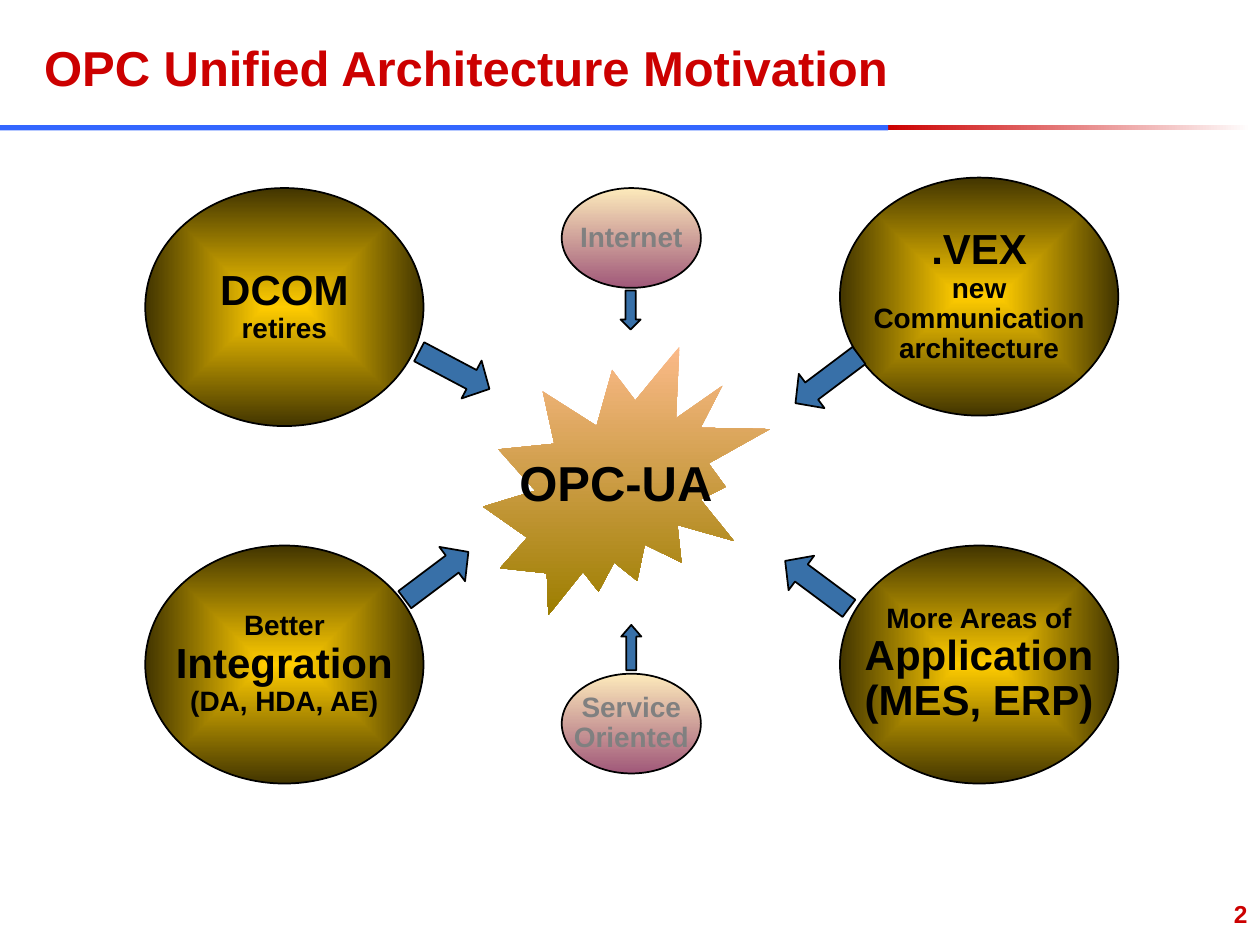
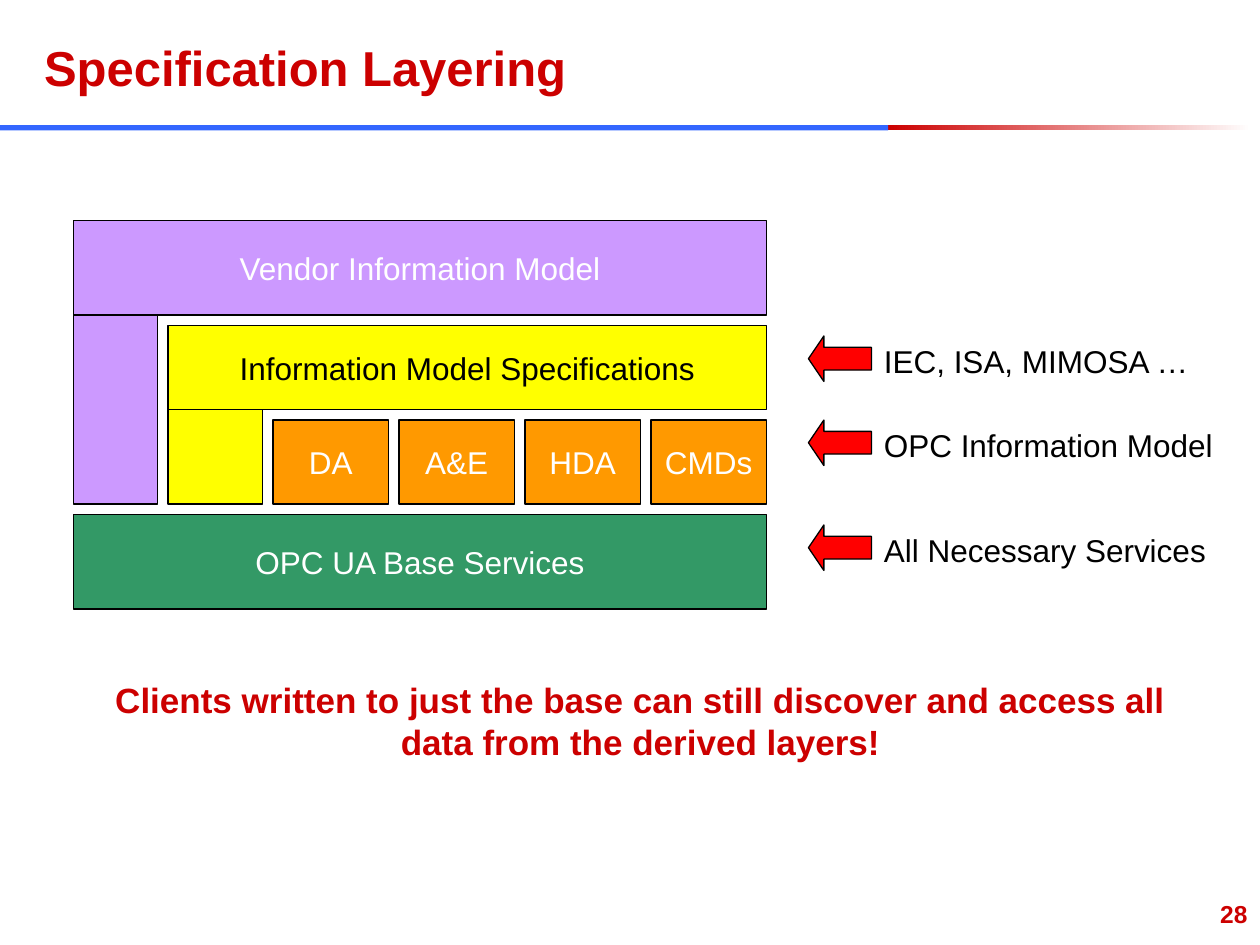
import pptx
import pptx.dml.color
import pptx.enum.shapes
import pptx.enum.text
import pptx.oxml
import pptx.oxml.ns
import pptx.util

Pt = pptx.util.Pt
RGB = pptx.dml.color.RGBColor
SHAPE = pptx.enum.shapes.MSO_SHAPE
ALIGN = pptx.enum.text.PP_ALIGN
ANCHOR = pptx.enum.text.MSO_ANCHOR
qn = pptx.oxml.ns.qn

FONT = "Arial"
BLACK = RGB(0x00, 0x00, 0x00)
WHITE = RGB(0xFF, 0xFF, 0xFF)
GRAY = RGB(0x80, 0x80, 0x80)
CRIMSON = RGB(0xCC, 0x00, 0x00)
BAND_BLUE = RGB(0x33, 0x66, 0xFF)
ARROW_BLUE = RGB(0x38, 0x70, 0xA8)
RED = RGB(0xFF, 0x00, 0x00)
LILAC = RGB(0xCC, 0x99, 0xFF)
YELLOW = RGB(0xFF, 0xFF, 0x00)
ORANGE = RGB(0xFF, 0x99, 0x00)
GREEN = RGB(0x33, 0x99, 0x66)
FADE = (WHITE, CRIMSON)
GOLD = (RGB(0xFF, 0xCC, 0x00), RGB(0x42, 0x35, 0x00))
BURST = (RGB(0xFB, 0xBA, 0x89), RGB(0x9C, 0x7E, 0x00))
ROSE = (RGB(0xFD, 0xEA, 0xBB), RGB(0xA0, 0x58, 0x79))

CENTER_PATH = (
    f'<a:path {pptx.oxml.ns.nsdecls("a")} path="rect">'
    '<a:fillToRect l="50000" t="50000" r="50000" b="50000"/></a:path>'
)


def paint_gradient(sp, colors, angle):
    sp.fill.gradient()
    for stop, color in zip(sp.fill.gradient_stops, colors):
        stop.color.rgb = color
    if angle is not None:
        sp.fill.gradient_angle = angle
        return
    grad = sp._element.spPr.find(qn("a:gradFill"))
    grad.replace(grad.find(qn("a:lin")), pptx.oxml.parse_xml(CENTER_PATH))


def add_shape(s, kind, box, fill, line=None, angle=None):
    sp = s.shapes.add_shape(kind, *map(Pt, box))
    sp.shadow.inherit = False
    if isinstance(fill, tuple) and not isinstance(fill, RGB):
        paint_gradient(sp, fill, angle)
    else:
        sp.fill.solid()
        sp.fill.fore_color.rgb = fill
    if line:
        sp.line.color.rgb = BLACK
        sp.line.width = Pt(line)
    else:
        sp.line.fill.background()
    return sp


def write(sp, lines, color, bold=False, align=ALIGN.CENTER,
          anchor=ANCHOR.MIDDLE, spacing=None, wrap=False):
    tf = sp.text_frame
    tf.word_wrap = wrap
    tf.auto_size = pptx.enum.text.MSO_AUTO_SIZE.NONE
    tf.vertical_anchor = anchor
    tf.margin_left = tf.margin_right = Pt(7.2)
    tf.margin_top = tf.margin_bottom = Pt(3.6)
    for i, (text, size) in enumerate(lines):
        p = tf.add_paragraph() if i else tf.paragraphs[0]
        p.text = text
        p.alignment = align
        if spacing:
            p.line_spacing = spacing
        p.font.name = FONT
        p.font.size = Pt(size)
        p.font.bold = bold
        p.font.color.rgb = color


def add_text(s, box, text, size, color, **style):
    sp = s.shapes.add_textbox(*map(Pt, box))
    write(sp, [(text, size)], color, anchor=ANCHOR.TOP, **style)


def add_slide(prs, title, title_width, number):
    s = prs.slides.add_slide(prs.slide_layouts[5])
    add_shape(s, SHAPE.RECTANGLE, (507.5, 71.5, 207.5, 3), FADE, angle=180)
    add_shape(s, SHAPE.RECTANGLE, (0, 71.5, 507.5, 3), BAND_BLUE)
    sp = s.shapes.title
    sp.left, sp.top, sp.width, sp.height = map(Pt, (18, 18, title_width, 41))
    write(sp, [(title, 28)], CRIMSON, bold=True, align=ALIGN.LEFT, wrap=True)
    add_text(s, (570, 510, 150, 30), number, 14, CRIMSON,
             bold=True, align=ALIGN.RIGHT, wrap=True)
    return s


def add_motivation(s, x, y):
    def driver(dx, dy, size, fill, color, lines, angle=None):
        sp = add_shape(s, SHAPE.OVAL, (x + dx, y + dy, *size), fill, 1, angle)
        write(sp, lines, color, bold=True, spacing=0.9)

    def arrow(dx, dy, width, height, rotation, head):
        sp = add_shape(s, SHAPE.RIGHT_ARROW, (x + dx, y + dy, width, height), ARROW_BLUE, 1)
        sp.adjustments[1] = head
        sp.rotation = rotation

    right, bottom, middle = 397, 210.25, 238
    large, small = (159, 136), (79.5, 57)

    burst = add_shape(s, SHAPE.EXPLOSION2, (x + 193, y + 96.5, 164, 153.5), BURST, angle=270)
    write(burst, [("OPC-UA", 28)], BLACK, bold=True, spacing=0.9)

    arrow(143.8, 215.3, 45.4, 24.5, 323.1, 0.47)
    for dx, dy, lines in (
        (0, 6, [("DCOM", 24), ("retires", 16)]),
        (right, 0, [(".VEX", 24), ("new", 16), ("Communication", 16), ("architecture", 16)]),
        (0, bottom, [("Better", 16), ("Integration", 24), ("(DA, HDA, AE)", 16)]),
        (right, bottom, [("More Areas of", 16), ("Application", 24), ("(MES, ERP)", 24)]),
    ):
        driver(dx, dy, large, GOLD, BLACK, lines)
    for dx, dy, rotation in (
        (153.9, 97.9, 27.9), (361.2, 220.3, 216.6), (367, 103, 143.1),
    ):
        arrow(dx, dy, 45.4, 24.5, rotation, 0.47)

    driver(middle, 6, small, ROSE, GRAY, [("Internet", 16)], 270)
    driver(middle, 283.5, small, ROSE, GRAY, [("Service", 16), ("Oriented", 16)], 270)
    arrow(266.2, 69.9, 22.3, 11.5, 90, 0.5)
    arrow(264.8, 262.8, 25.9, 11.5, 270, 0.58)


def add_layers(s, x, y, width):
    def layer(dx, dy, w, h, fill, text=None, color=WHITE):
        sp = add_shape(s, SHAPE.RECTANGLE, (x + dx, y + dy, w, h), fill, 0.75)
        if text:
            write(sp, [(text, 18)], color)

    gap, block = 6, 66
    layer(0, 168, width, 54, GREEN, "OPC UA Base Services")
    layer(0, 54, 48, 108, LILAC)
    layer(0, 0, width, 54, LILAC, "Vendor Information Model")
    for i, name in enumerate(("DA", "A&E", "HDA", "CMDs")):
        layer(114 + i * (block + gap), 114, block, 48, ORANGE, name)
    layer(54, 108, 54, 54, YELLOW)
    layer(54, 60, width - 54, 48, YELLOW, "Information Model Specifications", BLACK)


def add_callouts(s, x, y):
    for dy, text, width in (
        (0, "IEC, ISA, MIMOSA …", 189),
        (48, "OPC Information Model", 202),
        (108, "All Necessary Services", 198),
    ):
        sp = add_shape(s, SHAPE.LEFT_ARROW, (x, y + dy, 36, 26), RED, 0.75)
        sp.adjustments[1] = 0.34
        add_text(s, (x + 36, y + dy, width, 29), text, 18, BLACK, align=ALIGN.LEFT)


def main():
    prs = pptx.Presentation()
    prs.slide_width, prs.slide_height = Pt(720), Pt(540)

    s = add_slide(prs, "OPC Unified Architecture Motivation", 516, "2")
    add_motivation(s, 83, 101.5)

    s = add_slide(prs, "Specification Layering", 492, "28")
    add_layers(s, 42, 126, 396)
    add_callouts(s, 462, 192)
    add_text(s, (42, 384, 648, 55.5),
             "Clients written to just the base can still discover and access all "
             "data from the derived layers!", 20, CRIMSON, bold=True, wrap=True)

    prs.save("out.pptx")


if __name__ == "__main__":
    main()
